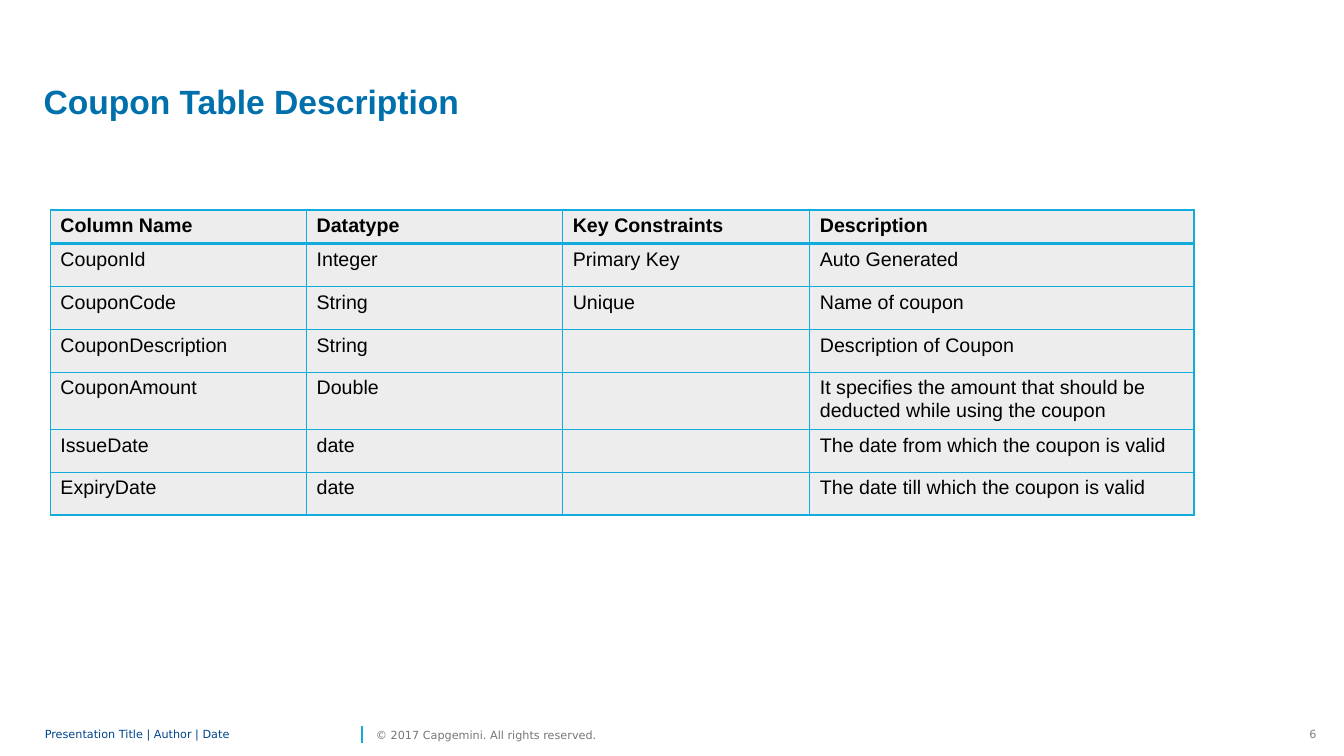
import pptx
import pptx.dml.color
import pptx.enum.shapes
import pptx.enum.text
import pptx.oxml
import pptx.oxml.ns
import pptx.util

Pt = pptx.util.Pt
ALIGN = pptx.enum.text.PP_ALIGN
ANCHOR = pptx.enum.text.MSO_ANCHOR

COLOURS = {
    "accent": "12ABDB",
    "title": "0070AD",
    "footer": "00458D",
    "copyright": "767676",
    "number": "808080",
    "cell": "EDEDED",
    "text": "000000",
}

COLUMN_WIDTHS = (183, 183, 176.5, 274.5)
HEADER_HEIGHT = 24
ROW_HEIGHT = 30.6
COUPON_ROWS = (
    ("Column Name", "Datatype", "Key Constraints", "Description"),
    ("CouponId", "Integer", "Primary Key", "Auto Generated"),
    ("CouponCode", "String", "Unique", "Name of coupon"),
    ("CouponDescription", "String", "", "Description of Coupon"),
    ("CouponAmount", "Double", "",
     "It specifies the amount that should be deducted while using the coupon"),
    ("IssueDate", "date", "", "The date from which the coupon is valid"),
    ("ExpiryDate", "date", "", "The date till which the coupon is valid"),
)


def colour(name):
    return pptx.dml.color.RGBColor.from_string(COLOURS[name])


def style_text(frame, font, size, colour_name, bold=False):
    for paragraph in frame.paragraphs:
        for run in paragraph.runs:
            run.font.name = font
            run.font.size = Pt(size)
            run.font.bold = bold
            run.font.color.rgb = colour(colour_name)


def add_text(slide, box, text, font, size, colour_name, bold=False, wrap=True,
             align=ALIGN.LEFT, anchor=ANCHOR.TOP, inset=True, spacing=None):
    frame = slide.shapes.add_textbox(*map(Pt, box)).text_frame
    frame.text = text
    frame.word_wrap = wrap
    frame.vertical_anchor = anchor
    if not inset:
        frame.margin_left = frame.margin_right = 0
        frame.margin_top = frame.margin_bottom = 0
    frame.paragraphs[0].alignment = align
    frame.paragraphs[0].line_spacing = spacing
    style_text(frame, font, size, colour_name, bold)


def add_divider(slide, x, top, bottom):
    divider = slide.shapes.add_connector(
        pptx.enum.shapes.MSO_CONNECTOR.STRAIGHT, Pt(x), Pt(top), Pt(x), Pt(bottom))
    divider.line.color.rgb = colour("accent")
    divider.line.width = Pt(1)
    pptx.oxml.ns.qn("a:effectLst")
    divider._element.spPr.append(pptx.oxml.parse_xml(
        f'<a:effectLst {pptx.oxml.ns.nsdecls("a")}/>'))


def set_borders(cell, widths):
    properties = cell._tc.get_or_add_tcPr()
    for side, width in widths.items():
        properties.append(pptx.oxml.parse_xml(
            f'<a:ln{side} {pptx.oxml.ns.nsdecls("a")} w="{Pt(width)}">'
            f'<a:solidFill><a:srgbClr val="{COLOURS["accent"]}"/></a:solidFill>'
            f'</a:ln{side}>'))


def add_coupon_table(slide, left, top):
    heights = [HEADER_HEIGHT] + [ROW_HEIGHT] * (len(COUPON_ROWS) - 1)
    table = slide.shapes.add_table(
        len(heights), len(COLUMN_WIDTHS), Pt(left), Pt(top),
        Pt(sum(COLUMN_WIDTHS)), Pt(sum(heights))).table
    for column, width in zip(table.columns, COLUMN_WIDTHS):
        column.width = Pt(width)
    for index, (row, height, texts) in enumerate(zip(table.rows, heights, COUPON_ROWS)):
        row.height = Pt(height)
        for cell, text in zip(row.cells, texts):
            cell.text_frame.text = text
            style_text(cell.text_frame, "Arial", 14, "text", bold=index == 0)
            # The rule under the header is heavier
            set_borders(cell, {"L": 1, "R": 1, "T": 2 if index == 1 else 1,
                               "B": 2 if index == 0 else 1})
            cell.fill.solid()
            cell.fill.fore_color.rgb = colour("cell")


def main():
    presentation = pptx.Presentation()
    presentation.slide_width = Pt(960)
    presentation.slide_height = Pt(540)
    slide = presentation.slides.add_slide(presentation.slide_layouts[6])

    # Footer
    add_text(slide, (928, 516, 19.5, 17.5), "6", "DejaVu Sans", 8, "number",
             wrap=False, align=ALIGN.RIGHT)
    add_divider(slide, 258.5, 518.5, 530.5)
    add_text(slide, (32, 516, 222.5, 17.5), "Presentation Title | Author | Date",
             "DejaVu Sans", 8, "footer", anchor=ANCHOR.MIDDLE, inset=False, spacing=0.85)
    add_text(slide, (268.5, 516, 175, 17.5), "© 2017 Capgemini. All rights reserved.",
             "DejaVu Sans", 8, "copyright", wrap=False, anchor=ANCHOR.MIDDLE, inset=False)

    # Table and title
    add_coupon_table(slide, 36, 150)
    add_text(slide, (24, 54, 519, 36), "Coupon Table Description",
             "Arial", 24, "title", bold=True)

    presentation.save("out.pptx")


if __name__ == "__main__":
    main()
